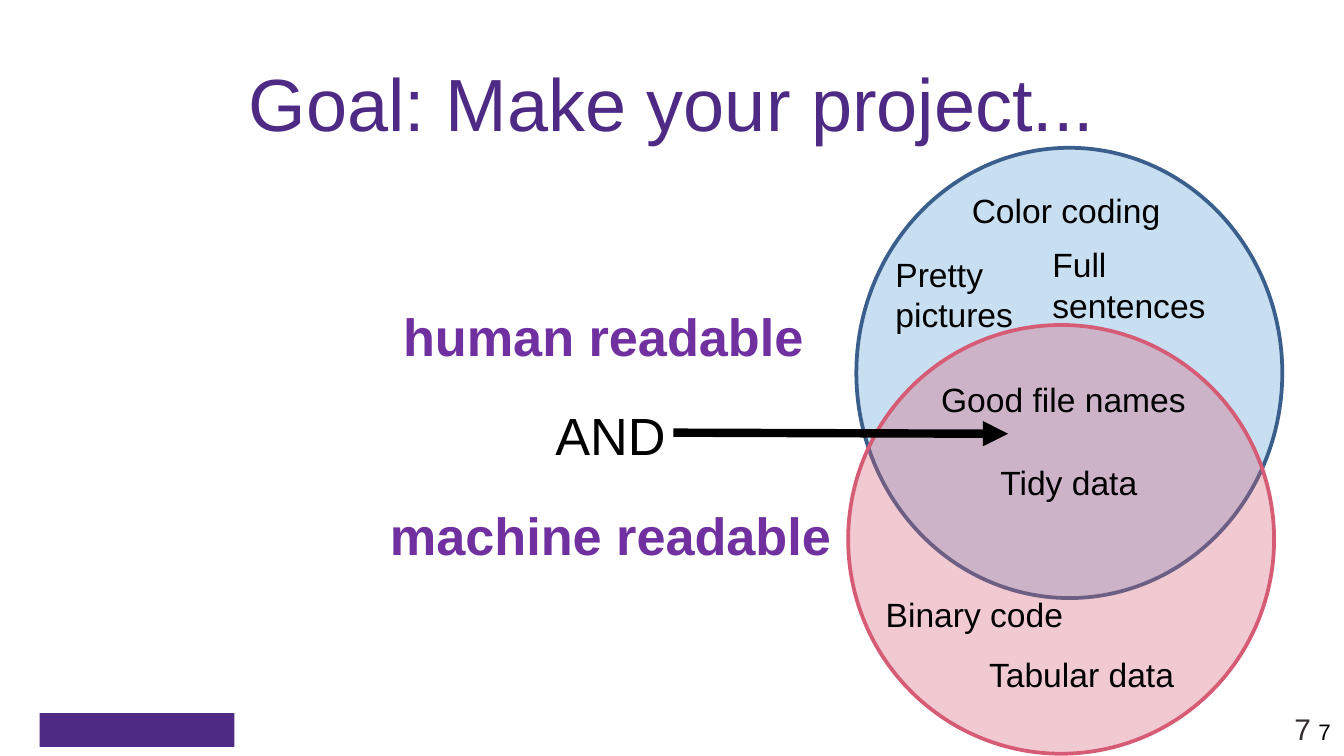
import pptx
import pptx.util
import pptx.dml.color
import pptx.enum.shapes
import pptx.enum.text
import pptx.oxml
import pptx.oxml.ns
from collections import namedtuple
from dataclasses import dataclass

Pt = pptx.util.Pt
RGB = pptx.dml.color.RGBColor.from_string
ALIGN = pptx.enum.text.PP_ALIGN
ANCHOR = pptx.enum.text.MSO_ANCHOR
SHAPE = pptx.enum.shapes.MSO_SHAPE
Box = namedtuple("Box", "x y w h")


@dataclass(frozen=True)
class Theme:
    font: str = "Arial"
    brand: str = "4E2A84"
    accent: str = "7030A0"
    ink: str = "000000"
    grey: str = "342F2E"
    human: str = "5B9BD5"
    human_line: str = "3A5F8C"
    machine: str = "D65C75"
    title: float = 39.6
    goal: float = 28
    label: float = 18
    number_large: float = 16
    number_small: float = 12


THEME = Theme()


def set_all(obj, values):
    for name, value in values.items():
        setattr(obj, name, value)


def add_xml(parent, tag, **attrs):
    el = pptx.oxml.parse_xml(f"<a:{tag} {pptx.oxml.ns.nsdecls('a')}/>")
    for name, value in attrs.items():
        el.set(name, value)
    parent.append(el)


def move(sp, box):
    set_all(sp, dict(zip(("left", "top", "width", "height"), map(Pt, box))))


def write(p, text, size, color, bold=False, align=ALIGN.LEFT):
    p.alignment = align
    r = p.add_run()
    r.text = text
    set_all(r.font, {"name": THEME.font, "size": Pt(size), "bold": bold})
    r.font.color.rgb = RGB(color)


def add_text(s, box, text, size, color=THEME.ink, align=ALIGN.LEFT, anchor=ANCHOR.TOP):
    tf = s.shapes.add_textbox(*map(Pt, box)).text_frame
    set_all(tf, {"word_wrap": True, "vertical_anchor": anchor})
    write(tf.paragraphs[0], text, size, color, align=align)


def add_filled(s, kind, box, fill, line=None, alpha=None):
    sp = s.shapes.add_shape(kind, *map(Pt, box))
    sp.shadow.inherit = False
    sp.fill.solid()
    sp.fill.fore_color.rgb = RGB(fill)
    if alpha:
        color = sp.fill._xPr.find(".//" + pptx.oxml.ns.qn("a:srgbClr"))
        add_xml(color, "alpha", val=str(alpha * 1000))
    if line:
        sp.line.color.rgb = RGB(line)
        sp.line.width = Pt(2)
    else:
        sp.line.fill.background()


def add_footer(s, box):
    add_filled(s, SHAPE.RECTANGLE, (box.x + 21.2, box.y + 6.8, 104.4, 18), THEME.brand)
    right = box.x + box.w
    add_text(s, (right - 73.2, box.y + 0.7, 62.6, 28.8), "7", THEME.number_large,
             THEME.grey, ALIGN.RIGHT, ANCHOR.MIDDLE)
    add_text(s, (right - 167.8, box.y + 5.6, 167.8, 21.6), "7", THEME.number_small,
             align=ALIGN.RIGHT, anchor=ANCHOR.BOTTOM)


def fill_title(sp, box):
    move(sp, box)
    tf = sp.text_frame
    set_all(tf, {"vertical_anchor": ANCHOR.MIDDLE, "word_wrap": True,
                 "auto_size": pptx.enum.text.MSO_AUTO_SIZE.NONE})
    write(tf.paragraphs[0], "Goal: Make your project...", THEME.title, THEME.brand,
          align=ALIGN.CENTER)


def fill_goals(sp, box):
    move(sp, box)
    tf = sp.text_frame
    set_all(tf, {"margin_left": Pt(5), "margin_right": Pt(5), "margin_top": Pt(3),
                 "margin_bottom": Pt(3), "vertical_anchor": ANCHOR.TOP,
                 "word_wrap": True,
                 "auto_size": pptx.enum.text.MSO_AUTO_SIZE.NONE})
    goals = [("human readable ", THEME.accent, True),
             ("AND", THEME.ink, False),
             ("machine readable", THEME.accent, True)]
    for i, (text, color, bold) in enumerate(goals):
        p = tf.add_paragraph() if i else tf.paragraphs[0]
        write(p, text, THEME.goal, color, bold, ALIGN.CENTER)
        set_all(p, {"line_spacing": 0.8, "space_before": Pt(2.3), "space_after": Pt(24.2)})
        pPr = p._p.get_or_add_pPr()
        pPr.set("marL", "0")
        pPr.set("indent", "0")
        add_xml(pPr, "buNone")


def add_venn(s, box):
    """Draw two overlapping circles, the arrow into the overlap and the labels."""
    circle_w = 228.2
    add_filled(s, SHAPE.OVAL, (box.x + box.w - circle_w, box.y, circle_w, 241.2),
               THEME.human, THEME.human_line, 33)
    add_filled(s, SHAPE.OVAL, (box.x, box.y + box.h - 229.7, circle_w, 229.7),
               THEME.machine, THEME.machine, 33)
    add_arrow(s, (box.x - 93.6, box.y + 152.6), (box.x + 85.7, box.y + 153.2))
    line_h, two_lines_h = 28.8, 51.1
    labels = [("Good file names", 42.7, 120.2, 152.6, line_h),
              ("Tidy data", 74.4, 164.9, 90, line_h),
              ("Color coding", 59.1, 19, 123.1, line_h),
              ("Pretty pictures", 18.2, 53.3, 80.6, two_lines_h),
              ("Full sentences", 102.3, 48.2, 123.1, two_lines_h),
              ("Binary code", 13, 235.7, 123.1, line_h),
              ("Tabular data", 68.4, 267.8, 123.1, line_h)]
    for text, dx, dy, w, h in labels:
        add_text(s, (box.x + dx, box.y + dy, w, h), text, THEME.label)


def add_arrow(s, start, end):
    line = s.shapes.add_connector(pptx.enum.shapes.MSO_CONNECTOR.STRAIGHT,
                                  *map(Pt, start + end))
    line.line.color.rgb = RGB(THEME.ink)
    line.line.width = Pt(4.5)
    add_xml(line.line._get_or_add_ln(), "tailEnd", type="triangle")
    add_xml(line._element.spPr, "effectLst")


def main():
    prs = pptx.Presentation()
    set_all(prs, {"slide_width": Pt(720), "slide_height": Pt(405)})
    s = prs.slides.add_slide(prs.slide_layouts[1])
    add_footer(s, Box(0, 375.3, 720, 29.3))
    fill_title(s.shapes.title, Box(0, 28.8, 720, 51.1))
    fill_goals(s.placeholders[1], Box(167.2, 166.3, 319.7, 194.4))
    add_venn(s, Box(454.4, 79.2, 232.6, 324.6))
    prs.save("out.pptx")


if __name__ == "__main__":
    main()
